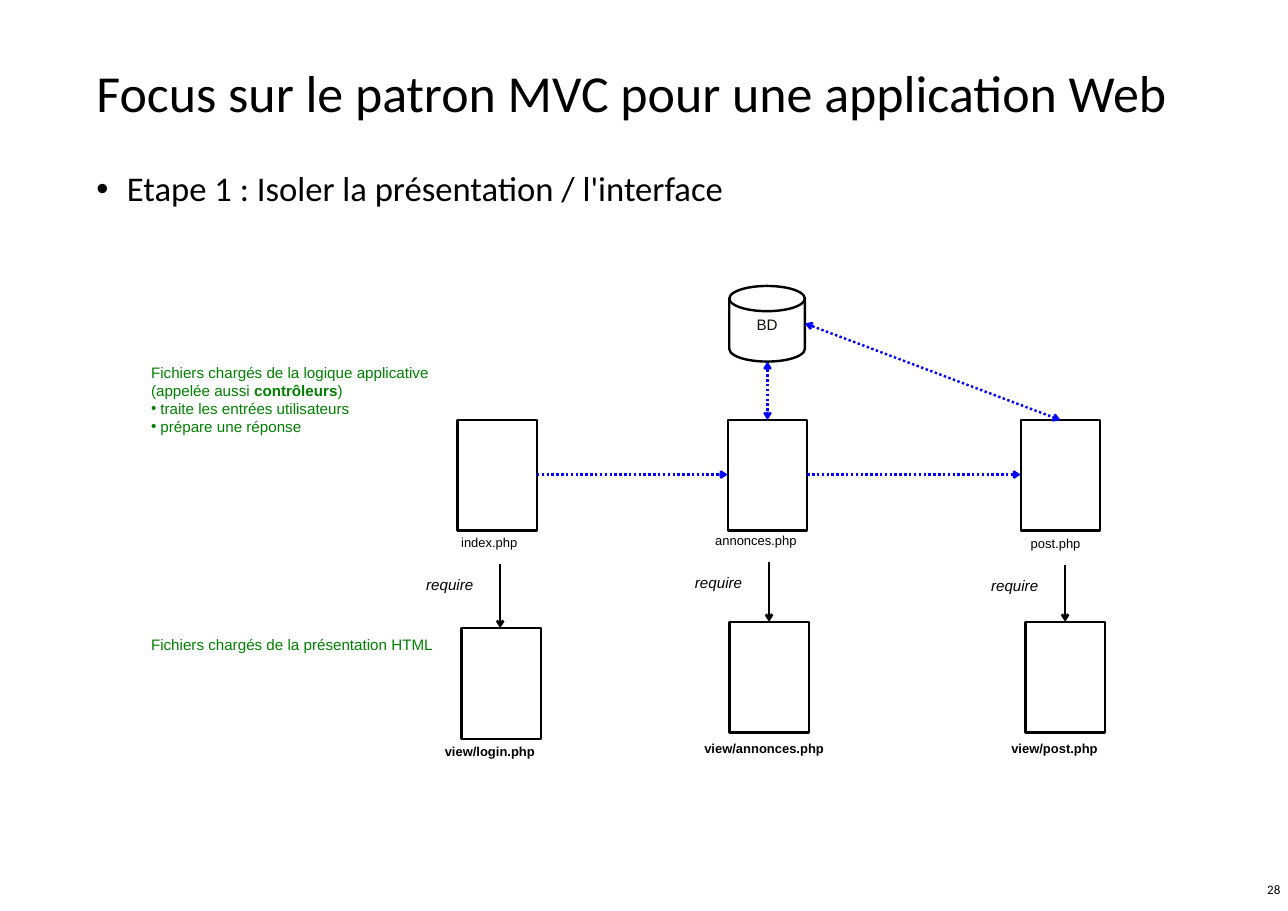
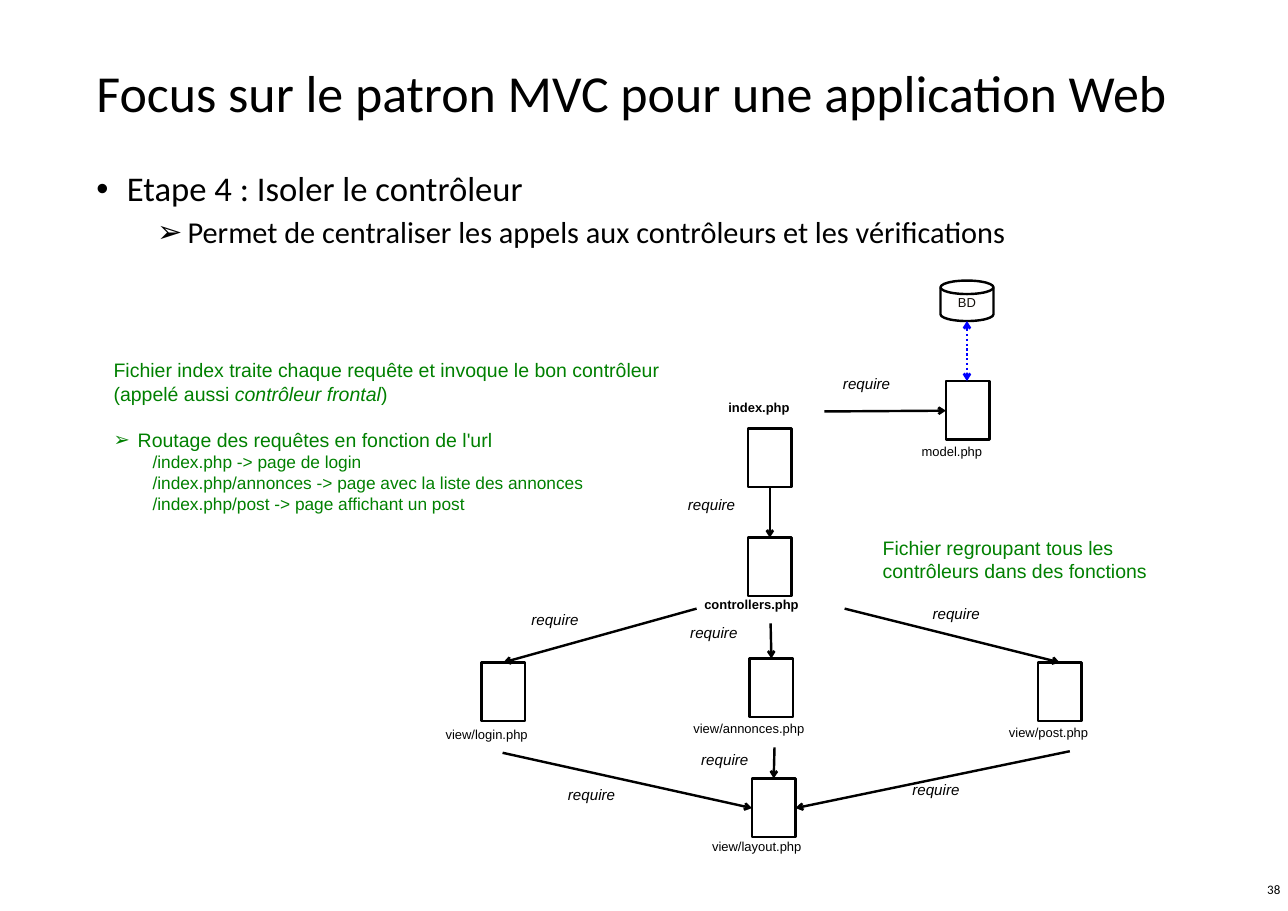
from dataclasses import dataclass
from typing import Any

from lxml.etree import SubElement
from pptx import Presentation
from pptx.dml.color import RGBColor as Rgb
from pptx.enum.dml import MSO_LINE as Dash
from pptx.enum.shapes import MSO_CONNECTOR as Link, MSO_SHAPE as Preset
from pptx.enum.text import MSO_ANCHOR as Anchor, PP_ALIGN as Align
from pptx.oxml.ns import qn
from pptx.util import Emu, Pt

WIDTH, HEIGHT = 1653, 1169
EMU_PER_PX = 9144


@dataclass(frozen=True)
class Theme:
    black: Rgb = Rgb(0, 0, 0)
    white: Rgb = Rgb(255, 255, 255)
    blue: Rgb = Rgb(0, 0, 255)
    green: Rgb = Rgb(0, 128, 0)
    ink: Rgb = Rgb(0x13, 0x0F, 0x0B)
    heading: str = "Calibri"
    diagram: str = "Arial"
    title: int = 48
    step: int = 32
    detail: int = 28
    note: int = 18
    route: int = 16
    caption: int = 14
    small: int = 12
    line: float = 2.25


THEME = Theme()


@dataclass(frozen=True)
class Para:
    """One paragraph; each span is (text, style), with style "", "b" or "i"."""
    spans: Any
    size: int
    color: Rgb = THEME.black
    font: str = THEME.diagram
    bullet: str = ""
    indent: int = 0
    hang: int = 0
    before: float = 0
    spacing: float = 1.0
    align: Any = Align.LEFT


def px(length):
    return Emu(length * EMU_PER_PX)


def plain(text, size, **look):
    return Para([(text, "")], size, **look)


def write(frame, paras):
    for index, spec_para in enumerate(paras):
        para = frame.paragraphs[0] if index == 0 else frame.add_paragraph()
        para.alignment = spec_para.align
        para.line_spacing = spec_para.spacing
        para.space_before = Pt(spec_para.before)
        props = para._p.get_or_add_pPr()
        props.set("marL", str(px(spec_para.indent)))
        props.set("indent", str(px(-spec_para.hang)))
        if spec_para.bullet:
            SubElement(props, qn("a:buFont")).set("typeface", THEME.diagram)
            SubElement(props, qn("a:buChar")).set("char", spec_para.bullet)
        for text, style in spec_para.spans:
            span = para.add_run()
            span.text = text
            span.font.name = spec_para.font
            span.font.size = Pt(spec_para.size)
            span.font.color.rgb = spec_para.color
            span.font.bold = style == "b"
            span.font.italic = style == "i"


@dataclass(frozen=True)
class Region:
    """Part of a page; all positions are relative to its left and top."""
    page: Any
    left: int = 0
    top: int = 0

    def place(self, left, top, width, height):
        return px(self.left + left), px(self.top + top), px(width), px(height)

    def text(self, left, top, width, height, paras, anchor=Anchor.TOP):
        box = self.page.shapes.add_textbox(*self.place(left, top, width, height))
        box.text_frame.word_wrap = True
        box.text_frame.vertical_anchor = anchor
        write(box.text_frame, paras)

    def file_name(self, left, top, name, style=""):
        self.text(left, top, 13 * len(name), 43, [Para([(name, style)], THEME.small)])

    def require(self, left, top):
        self.text(left, top, 109, 44, [Para([("require", "i")], THEME.caption)])

    def outline(self, preset, left, top, width, height):
        shape = self.page.shapes.add_shape(preset, *self.place(left, top, width, height))
        shape.shadow.inherit = False
        shape.line.color.rgb = THEME.black
        shape.line.width = Pt(THEME.line)
        return shape

    def file(self, left, top, width, height):
        shape = self.outline(Preset.RECTANGLE, left, top, width, height)
        shape.fill.solid()
        shape.fill.fore_color.rgb = THEME.white

    def database(self, left, top, width, height, size, inset=(0, 0)):
        shape = self.outline(Preset.FLOWCHART_MAGNETIC_DISK, left, top, width, height)
        shape.fill.background()
        frame = shape.text_frame
        frame.vertical_anchor = Anchor.TOP
        frame.margin_left = frame.margin_right = px(inset[0])
        frame.margin_top = frame.margin_bottom = px(inset[1])
        write(frame, [plain("BD", size, color=THEME.ink, align=Align.CENTER)])

    def arrow(self, start, end, color=THEME.black, dotted=False, both=False):
        link = self.page.shapes.add_connector(
            Link.STRAIGHT, *self.place(*start, 0, 0)[:2], *self.place(*end, 0, 0)[:2])
        link.line.color.rgb = color
        link.line.width = Pt(THEME.line)
        if dotted:
            link.line.dash_style = Dash.ROUND_DOT
        props = link.line._get_or_add_ln()
        for tag in ("a:headEnd", "a:tailEnd") if both else ("a:tailEnd",):
            SubElement(props, qn(tag)).set("type", "arrow")
        SubElement(link._element.spPr, qn("a:effectLst"))

    def flow(self, start, end, both=False):
        self.arrow(start, end, THEME.blue, dotted=True, both=both)


def add_page(deck, number, step, detail=""):
    """Add a page with the shared title, the step it treats and its number."""
    page = deck.slides.add_slide(deck.slide_layouts[6])
    frame = Region(page)
    look = {"font": THEME.heading, "spacing": 0.9}
    frame.text(114, 62, 1426, 122, [
        plain("Focus sur le patron MVC pour une application Web", THEME.title, **look),
    ], Anchor.MIDDLE)
    body = [plain(step, THEME.step, bullet="•", indent=39, hang=39, before=15.6, **look)]
    if detail:
        body.append(plain(detail, THEME.detail, bullet="➢", indent=117, hang=39,
                          before=7.8, **look))
    frame.text(114, 215, 1426, 838, body)
    frame.text(1281, 1110, 372, 62, [
        plain(str(number), THEME.small, font=THEME.heading, align=Align.RIGHT),
    ], Anchor.MIDDLE)
    return page


def draw_presentation_step(region):
    """Three controllers, each requiring its view, around one database."""
    width, height, top = 102, 142, 172
    middle = top + 70
    # left, name, name dx, name top, arrow dx, view, view dx, view top, view name dx, its top
    columns = [
        (403, "index.php", -5, 314, 55, "view/login.php", 5, 439, -26, 582),
        (750, "annonces.php", -26, 311, 53, "view/annonces.php", 2, 431, -40, 578),
        (1126, "post.php", 3, 315, 57, "view/post.php", 6, 431, -22, 578),
    ]
    for (left, name, name_dx, name_top, arrow_dx,
         view, view_dx, view_top, view_name_dx, view_name_top) in columns:
        region.file(left, top, width, height)
        region.file_name(left + name_dx, name_top, name)
        region.file(left + view_dx, view_top, width, height)
        region.file_name(left + view_name_dx, view_name_top, view, "b")
        arrow_left, arrow_top = left + arrow_dx, name_top + 43
        region.arrow((arrow_left, arrow_top), (arrow_left, view_top))
        region.require(arrow_left - 105, arrow_top + 10)

    for (left, *_), (following, *_) in zip(columns, columns[1:]):
        region.flow((left + width, middle), (following, middle))
    region.database(752, 0, 97, 97, THEME.caption, (10, 5))
    region.flow((801, 97), (801, top), both=True)
    region.flow((849, 48), (1177, top), both=True)

    look = {"size": THEME.caption, "color": THEME.green}
    region.text(0, 94, 518, 150, [
        plain("Fichiers chargés de la logique applicative", **look),
        Para([("(appelée aussi ", ""), ("contrôleurs", "b"), (")", "")], **look),
        plain("traite les entrées utilisateurs", bullet="•", indent=12, hang=12, **look),
        plain("prépare une réponse", bullet="•", indent=12, hang=12, **look),
    ])
    region.text(0, 443, 403, 82, [
        plain("Fichiers chargés de la présentation HTML", **look)])


def draw_controller_step(region):
    """Front controller, its model, the views and their common layout."""
    files = [
        ("index.php", (824, 190), (789, 148), "b"),
        ("controllers.php", (824, 330), (758, 401), "b"),
        ("model.php", (1078, 129), (1037, 204), ""),
        ("view/login.php", (482, 490), (426, 567), ""),
        ("view/annonces.php", (826, 485), (744, 560), ""),
        ("view/post.php", (1196, 490), (1149, 565), ""),
        ("view/layout.php", (829, 639), (768, 711), ""),
    ]
    for name, corner, name_corner, style in files:
        region.file(*corner, 56, 75)
        region.file_name(*name_corner, name, style)

    requires = [
        ((922, 168), (1078, 167), (936, 115)),
        ((852, 265), (852, 330), (737, 271)),
        ((758, 421), (510, 490), (536, 418)),
        ((853, 440), (854, 485), (740, 435)),
        ((948, 421), (1224, 490), (1051, 411)),
        ((509, 606), (829, 677), (583, 643)),
        ((858, 599), (857, 639), (754, 598)),
        ((1237, 604), (885, 677), (1025, 636)),
    ]
    for start, end, caption in requires:
        region.arrow(start, end)
        region.require(*caption)

    region.database(1071, 0, 68, 52, THEME.small)
    region.flow((1105, 52), (1105, 129), both=True)

    look = {"size": THEME.note, "color": THEME.green}
    region.text(987, 323, 377, 101, [
        plain("Fichier regroupant tous les contrôleurs dans des fonctions", **look)])
    routes = [
        "/index.php -> page de login",
        "/index.php/annonces -> page avec la liste des annonces",
        "/index.php/post -> page affichant un post",
    ]
    region.text(0, 95, 753, 212, [
        Para([("Fichier index traite chaque requête et invoque le bon contrôleur "
               "(appelé aussi ", ""), ("contrôleur frontal", "i"), (")", "")], **look),
        plain("Routage des requêtes en fonction de l'url", bullet="➢",
              indent=31, hang=31, before=21, **look),
        *(plain(route, THEME.route, color=THEME.green, indent=50) for route in routes),
    ])


def main():
    deck = Presentation()
    deck.slide_width, deck.slide_height = px(WIDTH), px(HEIGHT)
    page = add_page(deck, 28, "Etape 1 : Isoler la présentation / l'interface")
    draw_presentation_step(Region(page, 184, 367))
    page = add_page(deck, 38, "Etape 4 : Isoler le contrôleur",
                    "Permet de centraliser les appels aux contrôleurs et les vérifications")
    draw_controller_step(Region(page, 136, 360))
    deck.save("out.pptx")


if __name__ == "__main__":
    main()
